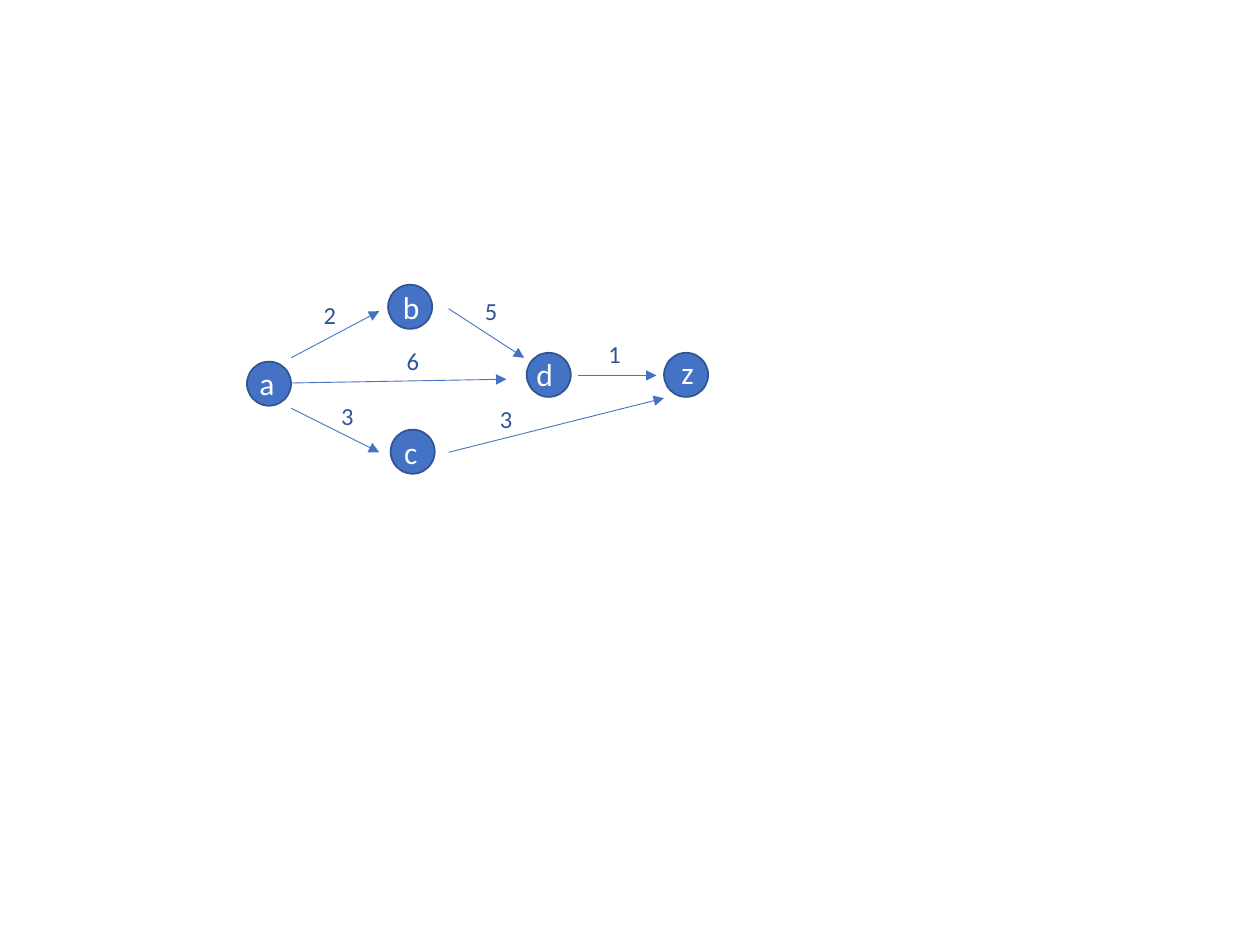
from typing import NamedTuple

from lxml.etree import SubElement
from pptx import Presentation
from pptx.dml.color import RGBColor
from pptx.enum.shapes import MSO_CONNECTOR, MSO_SHAPE
from pptx.enum.text import MSO_AUTO_SIZE
from pptx.oxml.ns import qn
from pptx.slide import Slide
from pptx.util import Inches, Pt

COLORS = {
    "node": "4472C4",
    "outline": "325491",
    "name": "FFFFFF",
    "weight": "2F5597",
}
FONT = "Calibri"
DIAMETER = 0.35
LABEL_WIDTH = 0.7


class Node(NamedTuple):
    """A graph vertex: circle corner and label corner, in inches."""
    name: str
    corner: tuple[float, float]
    label: tuple[float, float]


class Edge(NamedTuple):
    """A weighted arrow: its ends and label corner, in inches."""
    weight: str
    start: tuple[float, float]
    end: tuple[float, float]
    label: tuple[float, float]


NODES = [
    Node("a", (1.96, 2.87), (1.96, 2.84)),
    Node("b", (3.08, 2.26), (3.1, 2.24)),
    Node("c", (3.1, 3.41), (3.11, 3.39)),
    Node("d", (4.18, 2.8), (4.16, 2.77)),
    Node("z", (5.27, 2.8), (5.31, 2.75)),
]
EDGES = [
    Edge("2", (2.31, 2.84), (3.01, 2.47), (2.47, 2.33)),
    Edge("3", (2.31, 3.24), (3.01, 3.59), (2.61, 3.13)),
    Edge("6", (2.31, 3.04), (4.02, 3.01), (3.13, 2.7)),
    Edge("5", (3.56, 2.45), (4.16, 2.84), (3.75, 2.3)),
    Edge("3", (3.56, 3.59), (5.27, 3.16), (3.87, 3.16)),
    Edge("1", (4.59, 2.98), (5.21, 2.98), (4.73, 2.64)),
]


def color(key: str) -> RGBColor:
    """Look up a named colour."""
    return RGBColor.from_string(COLORS[key])


def add_label(slide: Slide, text: str, corner: tuple[float, float],
              height: float, size: int, color_key: str) -> None:
    """Write a one-line label."""
    left, top = corner
    box = slide.shapes.add_textbox(
        Inches(left), Inches(top), Inches(LABEL_WIDTH), Inches(height))
    text_frame = box.text_frame
    text_frame.word_wrap = True
    text_frame.auto_size = MSO_AUTO_SIZE.SHAPE_TO_FIT_TEXT
    text_frame.text = text
    font = text_frame.paragraphs[0].runs[0].font
    font.name = FONT
    font.size = Pt(size)
    font.color.rgb = color(color_key)


def add_circle(slide: Slide, node: Node) -> None:
    """Draw the circle of a node."""
    left, top = node.corner
    circle = slide.shapes.add_shape(
        MSO_SHAPE.OVAL, Inches(left), Inches(top),
        Inches(DIAMETER), Inches(DIAMETER))
    circle.shadow.inherit = False
    circle.fill.solid()
    circle.fill.fore_color.rgb = color("node")
    circle.line.color.rgb = color("outline")
    circle.line.width = Pt(1)


def add_arrow(slide: Slide, edge: Edge) -> None:
    """Draw an edge with a triangle at its end."""
    connector = slide.shapes.add_connector(
        MSO_CONNECTOR.STRAIGHT, *map(Inches, edge.start + edge.end))
    connector.line.color.rgb = color("node")
    connector.line.width = Pt(0.5)
    properties = connector._element.spPr
    SubElement(properties.find(qn("a:ln")), qn("a:tailEnd"), type="triangle")
    SubElement(properties, qn("a:effectLst"))


def main() -> None:
    """Build and save the weighted graph slide."""
    presentation = Presentation()
    presentation.slide_width = Inches(10)
    presentation.slide_height = Inches(7.5)
    slide = presentation.slides.add_slide(presentation.slide_layouts[6])
    for node in NODES:
        add_circle(slide, node)
    for node in NODES:
        add_label(slide, node.name, node.label, 0.4, 18, "name")
    for edge in EDGES:
        add_arrow(slide, edge)
    for edge in EDGES:
        add_label(slide, edge.weight, edge.label, 0.34, 14, "weight")
    presentation.save("out.pptx")


main()
